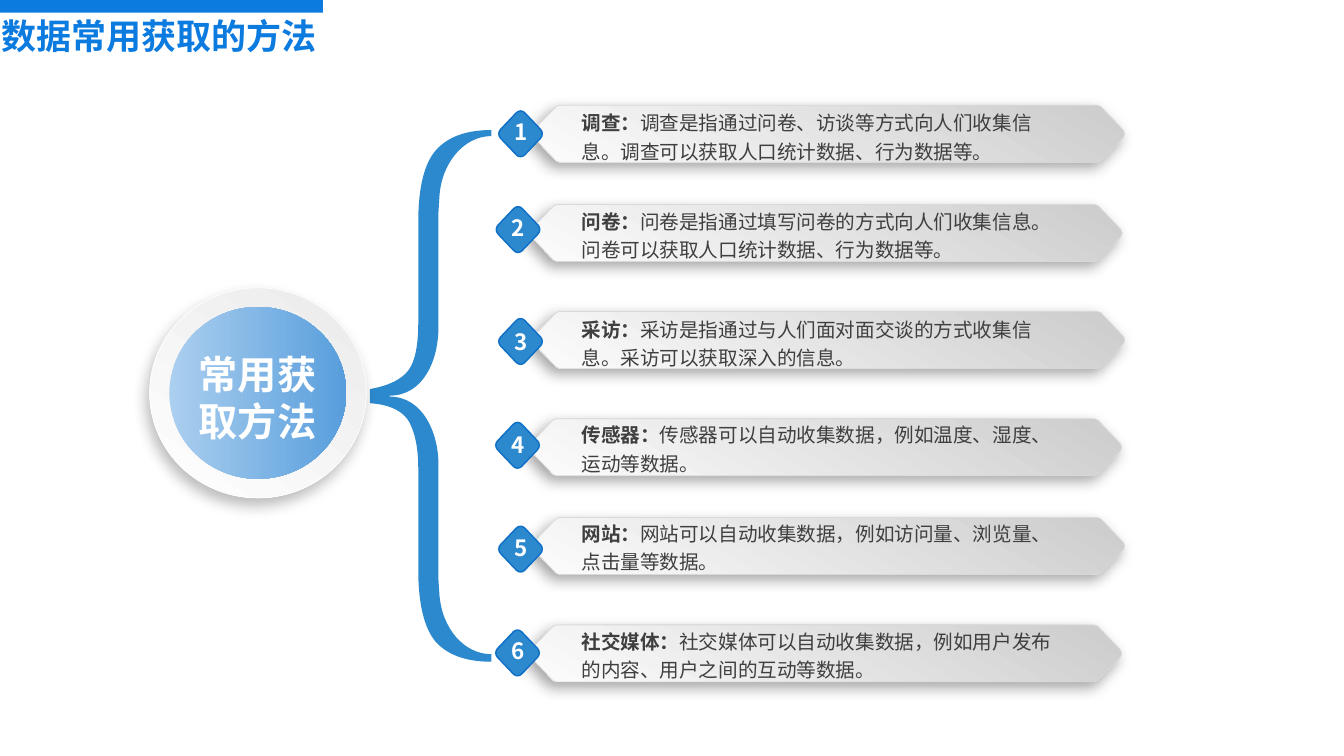
from dataclasses import dataclass
from math import dist
from typing import Optional

from lxml.etree import SubElement
from pptx import Presentation
from pptx.dml.color import RGBColor
from pptx.enum.lang import MSO_LANGUAGE_ID as Language
from pptx.enum.shapes import MSO_SHAPE as Preset
from pptx.enum.text import MSO_ANCHOR as Anchor, MSO_AUTO_SIZE as AutoSize, PP_ALIGN as Align
from pptx.oxml.ns import qn
from pptx.util import Inches, Pt

# The grid has cells of one inch: 26.67 columns by 15 rows.
COLUMNS, ROWS = 26.67, 15
BAR_WIDTH, BAR_HEIGHT = 11.78, 1.13
BADGE_WIDTH, BADGE_HEIGHT = 0.88, 0.93
CORNER_PULL = 0.55


@dataclass(frozen=True)
class Theme:
    title: str = "0C7BE0"
    accent: str = "2C89CE"
    accent_line: str = "0F6FC6"
    body: str = "3F3F3F"
    white: str = "FFFFFF"
    bar_line: str = "D9D9D9"
    shadow: str = "000000"
    bar_gradient: tuple = ("CCCCCC", "FCFCFC", 120)
    ring_gradient: tuple = ("EBEBEB", "FEFEFE", 126)
    disc_gradient: tuple = ("ABCFEF", "589EDC", 0)
    font: str = "Roboto"
    cjk_font: str = "Noto Sans CJK SC"
    title_size: int = 50
    hub_size: int = 56
    badge_size: int = 32
    body_size: int = 28


@dataclass(frozen=True)
class Shadow:
    opacity: int
    blur: int
    distance: int
    angle: int


@dataclass(frozen=True)
class Look:
    fill: object
    line: Optional[tuple] = None
    shadow: Optional[Shadow] = None


@dataclass(frozen=True)
class TextStyle:
    size: int
    color: str
    font: str
    align: Optional[Align] = None
    anchor: Anchor = Anchor.TOP
    spacing: Optional[float] = None
    inset: Optional[float] = 0
    grow: bool = True


@dataclass(frozen=True)
class Method:
    name: str
    detail: str
    bar_left: float
    bar_top: float
    text_top: float
    badge_top: float
    digit_top: float


THEME = Theme()
BAR = Look(THEME.bar_gradient, (THEME.bar_line, 1), Shadow(34, 20, 10, 136))
BADGE = Look(THEME.accent, (THEME.accent_line, 2))
RING = Look(THEME.ring_gradient, (THEME.white, 1), Shadow(25, 20, 12, 115))
BODY = TextStyle(THEME.body_size, THEME.body, THEME.font, anchor=Anchor.MIDDLE, spacing=1.2)
DIGIT = TextStyle(THEME.badge_size, THEME.white, THEME.cjk_font, Align.CENTER)
HUB = TextStyle(THEME.hub_size, THEME.white, THEME.font, Align.CENTER, inset=None)
TITLE = TextStyle(THEME.title_size, THEME.title, THEME.font, grow=False)

METHODS = [
    Method("调查：", "调查是指通过问卷、访谈等方式向人们收集信息。调查可以获取人口统计数据、行为数据等。",
           10.55, 2.09, 2.11, 2.19, 2.35),
    Method("问卷：", "问卷是指通过填写问卷的方式向人们收集信息。问卷可以获取人口统计数据、行为数据等。",
           10.5, 4.06, 4.07, 4.09, 4.24),
    Method("采访：", "采访是指通过与人们面对面交谈的方式收集信息。采访可以获取深入的信息。",
           10.55, 6.18, 6.21, 6.31, 6.52),
    Method("传感器：", "传感器可以自动收集数据，例如温度、湿度、运动等数据。",
           10.49, 8.31, 8.3, 8.37, 8.56),
    Method("网站：", "网站可以自动收集数据，例如访问量、浏览量、点击量等数据。",
           10.55, 10.27, 10.26, 10.43, 10.6),
    Method("社交媒体：", "社交媒体可以自动收集数据，例如用户发布的内容、用户之间的互动等数据。",
           10.49, 12.4, 12.4, 12.49, 12.65),
]

# Two numbers are a straight step, six are a cubic curve.
BRACE = [
    (9.75, 2.58), (9.75, 2.7), (9.21, 2.7, 8.76, 3.23, 8.72, 3.9), (8.7, 4.22), (8.7, 6.5),
    (8.7, 7.12, 8.42, 7.85, 7.73, 7.85), (7.73, 7.87), (8.4, 7.87, 8.7, 8.6, 8.7, 9.21),
    (8.7, 11.5), (8.72, 11.8), (8.77, 12.47, 9.21, 12.98, 9.75, 12.98), (9.75, 13.13),
    (9.26, 13.13, 8.89, 13, 8.65, 12.74), (8.42, 12.47, 8.3, 11.99, 8.3, 11.31), (8.3, 9.3),
    (8.3, 8.93, 8.25, 8.63, 8.13, 8.39), (8.01, 8.16, 7.75, 8.03, 7.34, 8), (7.34, 7.72),
    (7.72, 7.65, 7.97, 7.53, 8.11, 7.34), (8.24, 7.16, 8.3, 6.84, 8.3, 6.41), (8.3, 4.4),
    (8.3, 3.72, 8.42, 3.24, 8.65, 2.98), (8.89, 2.71, 9.26, 2.58, 9.75, 2.58),
]


def between(start: tuple, end: tuple, share: float) -> tuple:
    return tuple(a + (b - a) * share for a, b in zip(start, end))


def rounded(corners: list) -> list:
    """Cut every (x, y, cut) corner of a polygon with a cubic curve."""
    steps = []
    for index, (x, y, cut) in enumerate(corners):
        tip = (x, y)
        neighbours = [corners[index - 1][:2], corners[(index + 1) % len(corners)][:2]]
        start, end = [between(tip, other, cut / dist(tip, other)) for other in neighbours]
        steps += [start, between(start, tip, CORNER_PULL) + between(end, tip, CORNER_PULL) + end]
    return steps


def bar_outline() -> list:
    tip, shoulder, middle = 0.03, 0.51, BAR_HEIGHT / 2
    far = BAR_WIDTH - shoulder
    return rounded([(-tip, middle, 0.1), (shoulder, 0, 0.04), (far, 0, 0.04),
                    (BAR_WIDTH + tip, middle, 0.1), (far, BAR_HEIGHT, 0.04),
                    (shoulder, BAR_HEIGHT, 0.04)])


def badge_outline() -> list:
    tip, x, y = 0.04, BADGE_WIDTH / 2, BADGE_HEIGHT / 2
    return rounded([(x, -tip, 0.12), (BADGE_WIDTH + tip, y, 0.12),
                    (x, BADGE_HEIGHT + tip, 0.12), (-tip, y, 0.12)])


def apply_look(shape, look: Look) -> None:
    if isinstance(look.fill, tuple):
        *colors, angle = look.fill
        shape.fill.gradient()
        shape.fill.gradient_angle = -angle % 360
        for stop, color in zip(shape.fill.gradient_stops, colors):
            stop.color.rgb = RGBColor.from_string(color)
    else:
        shape.fill.solid()
        shape.fill.fore_color.rgb = RGBColor.from_string(look.fill)
    if look.line:
        color, width = look.line
        shape.line.color.rgb = RGBColor.from_string(color)
        shape.line.width = Pt(width)
    else:
        shape.line.fill.background()
    shape.shadow.inherit = False
    if look.shadow:
        effects = shape._element.spPr.find(qn("a:effectLst"))
        outer = SubElement(effects, qn("a:outerShdw"), blurRad=str(Pt(look.shadow.blur)),
                           dist=str(Pt(look.shadow.distance)),
                           dir=str(look.shadow.angle * 60000), algn="ctr", rotWithShape="0")
        color = SubElement(outer, qn("a:srgbClr"), val=THEME.shadow)
        SubElement(color, qn("a:alpha"), val=str(look.shadow.opacity * 1000))


def draw_preset(shapes, preset: Preset, box: tuple, look: Look) -> None:
    apply_look(shapes.add_shape(preset, *map(Inches, box)), look)


def draw_outline(shapes, steps: list, look: Look, left: float = 0, top: float = 0) -> None:
    """Build the outline, then merge the three points of each curve into one cubic segment."""
    start, *rest = [(Inches(left + x), Inches(top + y))
                    for step in steps for x, y in zip(step[::2], step[1::2])]
    builder = shapes.build_freeform(*start)
    builder.add_line_segments(rest, close=True)
    shape = builder.convert_to_shape()
    segments = iter(list(next(shape._element.iter(qn("a:path")))))
    for step in steps:
        segment = next(segments)
        if len(step) == 6:
            segment.tag = qn("a:cubicBezTo")
            for extra in (next(segments), next(segments)):
                segment.append(extra[0])
                extra.getparent().remove(extra)
    apply_look(shape, look)


def draw_text(shapes, box: tuple, style: TextStyle, bold: str, plain: str = "") -> None:
    frame = shapes.add_textbox(*map(Inches, box)).text_frame
    frame_format = {"word_wrap": True, "vertical_anchor": style.anchor,
                    "auto_size": AutoSize.SHAPE_TO_FIT_TEXT if style.grow else AutoSize.NONE}
    if style.inset is not None:
        sides = ("left", "top", "right", "bottom")
        frame_format.update({f"margin_{side}": Inches(style.inset) for side in sides})
    for name, value in frame_format.items():
        setattr(frame, name, value)
    paragraph = frame.paragraphs[0]
    paragraph.alignment, paragraph.line_spacing = style.align, style.spacing
    paragraph._p.get_or_add_pPr().set("hangingPunct", "0")
    for text, is_bold in ((bold, True), (plain, False)):
        if not text:
            continue
        run = paragraph.add_run()
        run.text = text
        for name, value in {"name": style.font, "size": Pt(style.size), "bold": is_bold,
                            "language_id": Language.SIMPLIFIED_CHINESE}.items():
            setattr(run.font, name, value)
        run.font.color.rgb = RGBColor.from_string(style.color)
        SubElement(run._r.get_or_add_rPr(), qn("a:ea"), typeface=THEME.cjk_font)


def draw_methods(shapes) -> None:
    for method in METHODS:
        draw_outline(shapes, bar_outline(), BAR, method.bar_left, method.bar_top)
    for method in METHODS:
        draw_text(shapes, (11.54, method.text_top, 9.46, BAR_HEIGHT), BODY,
                  method.name, method.detail)
    draw_outline(shapes, BRACE, Look(THEME.accent))
    for number, method in enumerate(METHODS, 1):
        left = method.bar_left - 0.66
        draw_outline(shapes, badge_outline(), BADGE, left, method.badge_top)
        draw_text(shapes, (left + 0.29, method.digit_top, 0.31, 0.54), DIGIT, str(number))


def draw_hub(shapes) -> None:
    draw_preset(shapes, Preset.OVAL, (2.97, 5.71, 4.3, 4.17), RING)
    draw_preset(shapes, Preset.OVAL, (3.36, 6.09, 3.51, 3.41), Look(THEME.disc_gradient))
    draw_text(shapes, (3.72, 6.91, 2.78, 1.98), HUB, "常用获取方法")


def draw_title(shapes) -> None:
    draw_preset(shapes, Preset.RECTANGLE, (-0.02, -0.01, 6.43, 0.26), Look(THEME.title))
    draw_text(shapes, (0.03, 0.28, 6.9, 1.62), TITLE, "数据常用获取的方法")


def main() -> None:
    presentation = Presentation()
    presentation.slide_width, presentation.slide_height = Inches(COLUMNS), Inches(ROWS)
    slide = presentation.slides.add_slide(presentation.slide_layouts[6])
    for draw in (draw_methods, draw_hub, draw_title):
        draw(slide.shapes.add_group_shape().shapes)
    presentation.save("out.pptx")


if __name__ == "__main__":
    main()
